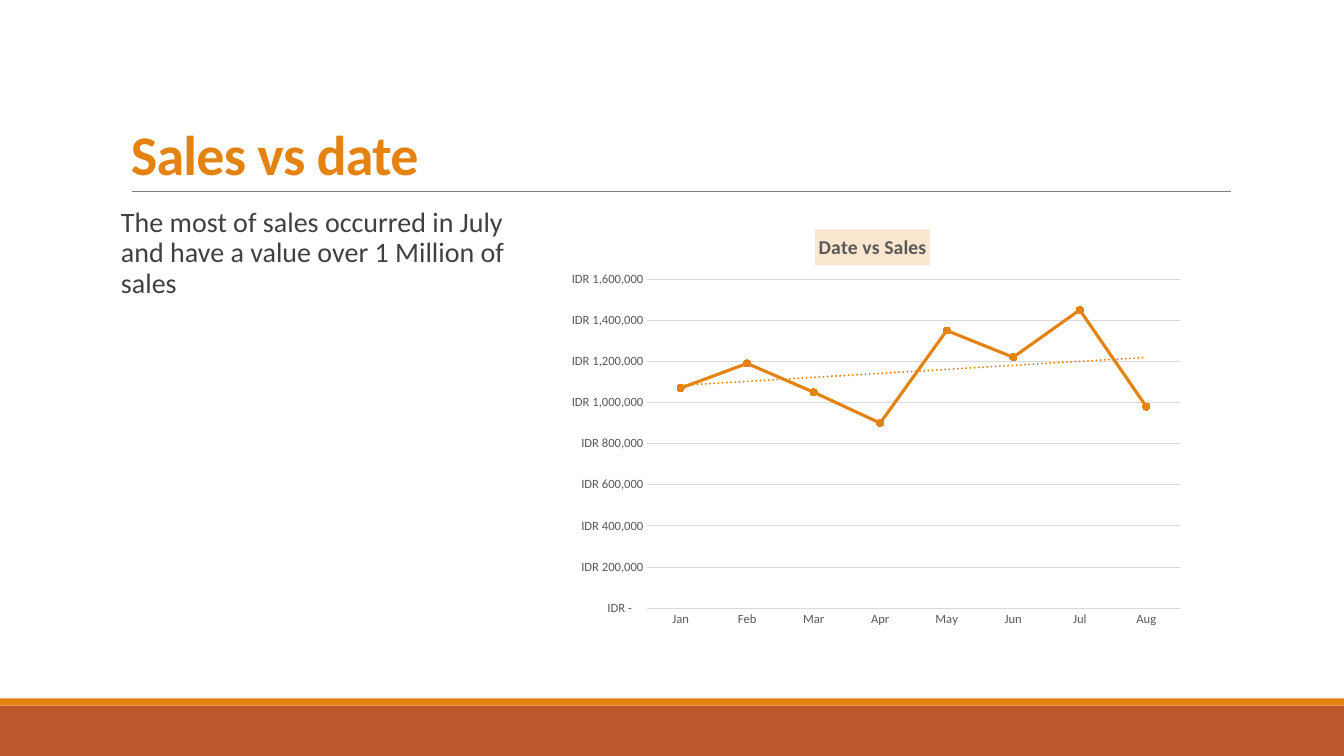
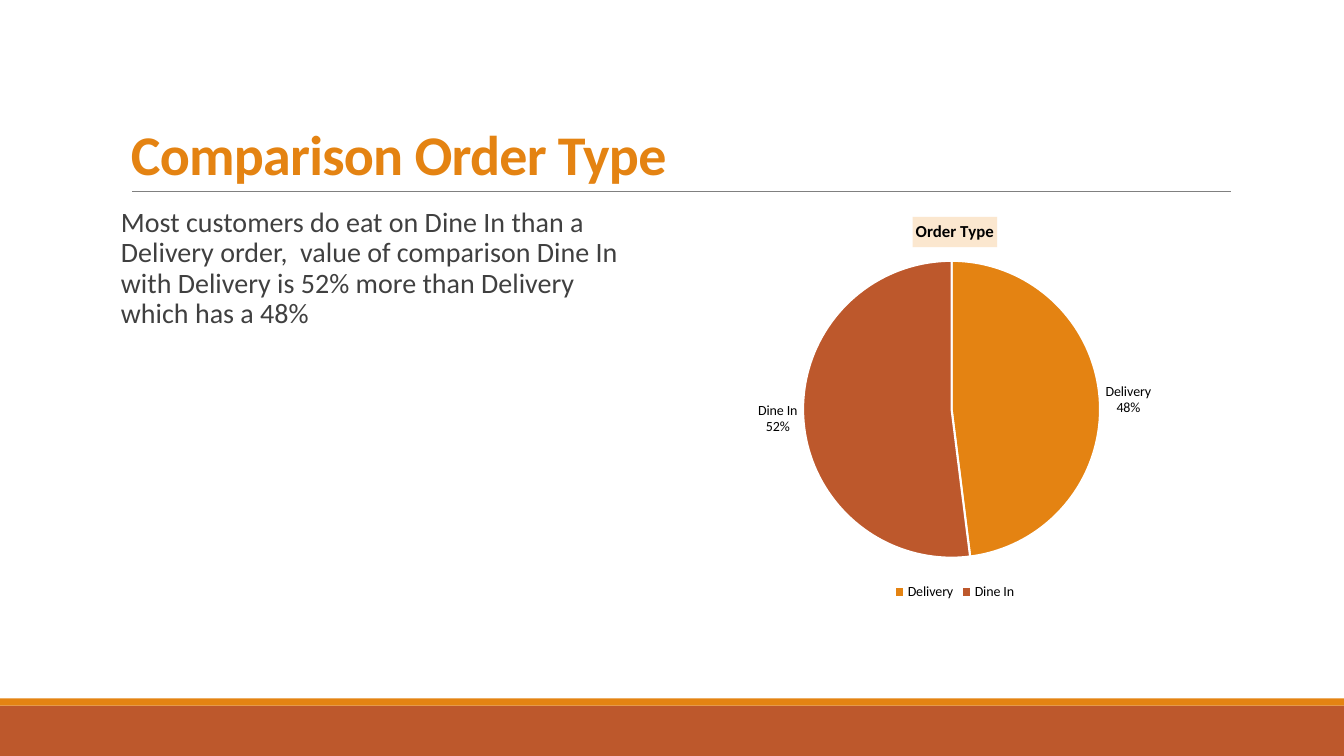
from dataclasses import dataclass

from lxml import etree
from pptx import Presentation
from pptx.chart.data import CategoryChartData as ChartData
from pptx.dml.color import RGBColor as RGB
from pptx.enum.chart import XL_CHART_TYPE as ChartType
from pptx.enum.chart import XL_LABEL_POSITION as LabelPosition
from pptx.enum.chart import XL_LEGEND_POSITION as LegendPosition
from pptx.enum.chart import XL_MARKER_STYLE as MarkerStyle
from pptx.enum.chart import XL_TICK_MARK as TickMark
from pptx.enum.shapes import MSO_CONNECTOR as Connector
from pptx.enum.shapes import MSO_SHAPE as Shape
from pptx.enum.text import MSO_ANCHOR as Anchor
from pptx.oxml import parse_xml
from pptx.oxml.ns import nsdecls, qn
from pptx.util import Inches, Pt


@dataclass(frozen=True)
class Theme:
    font: str = "Calibri"
    orange: str = "E48312"
    rust: str = "BD582C"
    rule: str = "808080"
    body: str = "404040"
    muted: str = "595959"
    grid: str = "D9D9D9"
    highlight: str = "FBE7CF"
    black: str = "000000"
    white: str = "FFFFFF"
    title_size: float = 40
    body_size: float = 20
    chart_size: float = 10
    axis_size: float = 9


class Deck:
    WIDTH, HEIGHT = 13.33, 7.5

    def __init__(self, theme):
        self.theme = theme
        self.prs = Presentation()
        self.prs.slide_width = Inches(self.WIDTH)
        self.prs.slide_height = Inches(self.HEIGHT)
        self.slide = None

    # Shared frame: footer bands, title and rule
    def new_slide(self, title):
        t = self.theme
        self.slide = self.prs.slides.add_slide(self.prs.slide_layouts[6])
        self.band(7, 0.5, t.rust)
        self.band(6.93, 0.07, t.orange)
        self.rule(1.31, 12.21, 1.9)
        heading = self.text(title, 1.2, 0.31, 11, 1.59, t.title_size, t.orange)
        heading.vertical_anchor = Anchor.BOTTOM
        line = heading.paragraphs[0]
        line.line_spacing = 0.85
        line.font.bold = True
        line.runs[0].font._element.set("spc", "-50")

    def band(self, top, height, color):
        band = self.slide.shapes.add_shape(
            Shape.RECTANGLE, 0, Inches(top), Inches(self.WIDTH), Inches(height))
        band.shadow.inherit = False
        band.fill.solid()
        band.fill.fore_color.rgb = RGB.from_string(color)
        band.line.fill.background()

    def rule(self, left, right, top):
        rule = self.slide.shapes.add_connector(
            Connector.STRAIGHT, Inches(left), Inches(top), Inches(right), Inches(top))
        self.stroke(rule.line, self.theme.rule, 0.5)
        etree.SubElement(rule._element.spPr, qn("a:effectLst"))

    # Text
    def text(self, words, left, top, width, height, size, color):
        frame = self.slide.shapes.add_textbox(
            Inches(left), Inches(top), Inches(width), Inches(height)).text_frame
        frame.word_wrap = True
        frame.text = words
        self.style(frame.paragraphs[0].font, size, color)
        return frame

    def body(self, words, width):
        t = self.theme
        frame = self.text(words, 1.2, 2.02, width, 4.4, t.body_size, t.body)
        frame.margin_left = frame.margin_right = 0
        paragraph = frame.paragraphs[0]
        paragraph.line_spacing = 0.9
        paragraph.space_before, paragraph.space_after = Pt(12), Pt(2)

    def style(self, font, size, color):
        font.name = self.theme.font
        font.size = Pt(size)
        font.color.rgb = RGB.from_string(color)

    @staticmethod
    def stroke(line, color, width):
        line.color.rgb = RGB.from_string(color)
        line.width = Pt(width)

    # Charts
    def chart(self, kind, box, plot_area, title, title_size, title_color, values):
        data = ChartData()
        data.categories = list(values)
        data.add_series("Series 1", list(values.values()))
        chart = self.slide.shapes.add_chart(kind, *map(Inches, box), data).chart
        self.style(chart.font, self.theme.chart_size, self.theme.black)
        chart.has_legend = False

        chart.has_title = True
        heading = chart.chart_title
        heading.include_in_layout = False
        heading.text_frame.text = title
        font = heading.text_frame.paragraphs[0].font
        self.style(font, title_size, title_color)
        font.bold = True
        heading.format.fill.solid()
        heading.format.fill.fore_color.rgb = RGB.from_string(self.theme.highlight)

        self.place_plot(chart, plot_area)
        chart.plots[0].vary_by_categories = False
        return chart

    @staticmethod
    def place_plot(chart, fractions):
        area = chart._chartSpace.chart.plotArea
        for old in area.findall(qn("c:layout")):
            area.remove(old)
        parts = "".join(f'<c:{key} val="{value}"/>' for key, value in
                        zip(("x", "y", "w", "h"), fractions))
        area.insert(0, parse_xml(
            f'<c:layout {nsdecls("c")}><c:manualLayout><c:layoutTarget val="inner"/>'
            f'<c:xMode val="edge"/><c:yMode val="edge"/>{parts}'
            '</c:manualLayout></c:layout>'))

    def sales_chart(self, values):
        t = self.theme
        chart = self.chart(ChartType.LINE_MARKERS, (5.49, 2.14, 6.33, 4.17),
                           (0.147, 0.151, 0.834, 0.783),
                           "Date vs Sales", 14, t.muted, values)
        months, amounts = chart.category_axis, chart.value_axis
        for axis in (months, amounts):
            axis.major_tick_mark = axis.minor_tick_mark = TickMark.NONE
            self.style(axis.tick_labels.font, t.axis_size, t.muted)
        self.stroke(months.format.line, t.grid, 0.75)
        amounts.format.line.fill.background()
        self.stroke(amounts.major_gridlines.format.line, t.grid, 0.75)
        amounts.minimum_scale, amounts.maximum_scale = 0, 1600000
        amounts.major_unit = 200000
        amounts.tick_labels.number_format = '"IDR "#,##0;-"IDR "#,##0;"IDR -"_0_0'
        amounts.tick_labels.number_format_is_linked = False

        sales = chart.plots[0].series[0]
        sales.smooth = False
        self.stroke(sales.format.line, t.orange, 2.25)
        sales.marker.style, sales.marker.size = MarkerStyle.CIRCLE, 5
        sales.marker.format.fill.solid()
        sales.marker.format.fill.fore_color.rgb = RGB.from_string(t.orange)
        self.stroke(sales.marker.format.line, t.orange, 0.75)
        self.trend(sales, t.orange)

    @staticmethod
    def trend(series, color):
        series._element.find(qn("c:cat")).addprevious(parse_xml(
            f'<c:trendline {nsdecls("c", "a")}><c:spPr><a:ln w="{Pt(1.5)}" cap="rnd">'
            f'<a:solidFill><a:srgbClr val="{color}"/></a:solidFill>'
            '<a:prstDash val="sysDot"/></a:ln></c:spPr><c:trendlineType val="linear"/>'
            '<c:dispRSqr val="0"/><c:dispEq val="0"/></c:trendline>'))

    def order_chart(self, values):
        t = self.theme
        chart = self.chart(ChartType.PIE, (6.8, 2.02, 5.34, 3.97),
                           (0.218, 0.143, 0.552, 0.742),
                           "Order Type", 12, t.black, values)
        chart.plots[0].vary_by_categories = True
        chart.has_legend = True
        chart.legend.position = LegendPosition.BOTTOM
        chart.legend.include_in_layout = False
        self.style(chart.legend.font, t.chart_size, t.black)

        orders = chart.plots[0].series[0]
        for index, color in enumerate((t.orange, t.rust)):
            piece = orders.points[index].format
            piece.fill.solid()
            piece.fill.fore_color.rgb = RGB.from_string(color)
            self.stroke(piece.line, t.white, 1.5)
        labels = orders.data_labels
        labels.show_value = False
        labels.show_percentage = labels.show_category_name = True
        labels.number_format, labels.number_format_is_linked = "0%", False
        labels.position = LabelPosition.OUTSIDE_END
        self.style(labels.font, t.chart_size, t.black)
        labels._element.find(qn("c:showBubbleSize")).addnext(
            parse_xml(f'<c:separator {nsdecls("c")}>\n</c:separator>'))


def main():
    deck = Deck(Theme())

    # Sales over time
    deck.new_slide("Sales vs date")
    deck.body("The most of sales occurred in July and have a value over "
              "1 Million of sales", 3.99)
    deck.sales_chart({"Jan": 1070000, "Feb": 1190000, "Mar": 1050000, "Apr": 900000,
                      "May": 1350000, "Jun": 1220000, "Jul": 1450000, "Aug": 980000})

    # Share of order types
    deck.new_slide("Comparison Order Type")
    deck.body("Most customers do eat on Dine In than a Delivery order,  value of "
              "comparison Dine In with Delivery is 52% more than Delivery "
              "which has a 48%", 5.03)
    deck.order_chart({"Delivery": 48, "Dine In": 52})

    deck.prs.save("out.pptx")


if __name__ == "__main__":
    main()
